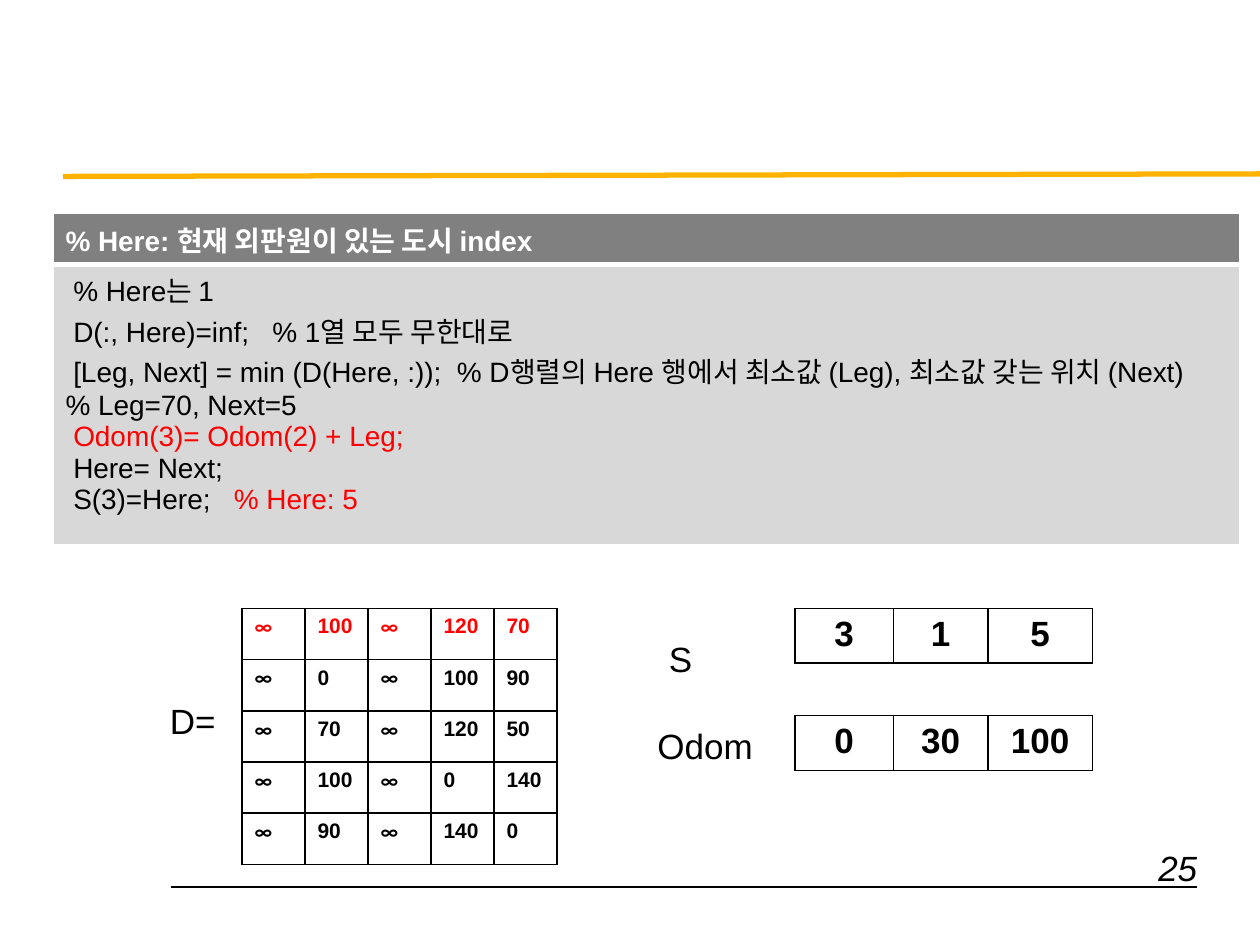
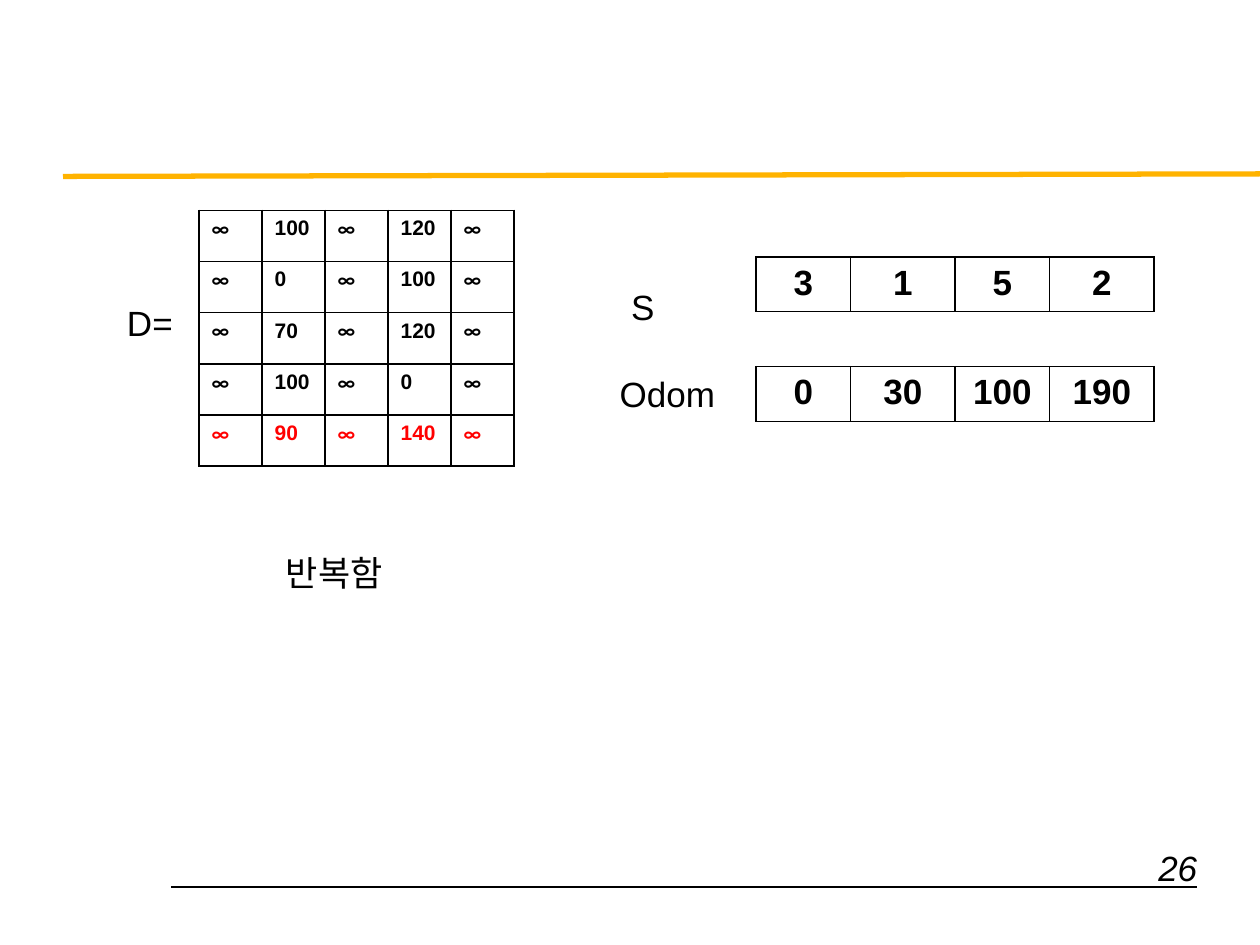
from lxml.etree import SubElement
from pptx import Presentation
from pptx.dml.color import RGBColor
from pptx.enum.shapes import MSO_CONNECTOR
from pptx.enum.text import MSO_ANCHOR, PP_ALIGN
from pptx.oxml.ns import qn
from pptx.util import Inches, Pt

BLACK = RGBColor(0, 0, 0)
WHITE = RGBColor(255, 255, 255)
RED = RGBColor(255, 0, 0)
AMBER = RGBColor(0xFF, 0xB3, 0)
GRAY = RGBColor(0x80, 0x80, 0x80)
PALE = RGBColor(0xD8, 0xD8, 0xD8)
FONT = "Arial"
MATH = "Calibri"
INF = "∞"

CODE = [
    [(" % Here는 1", BLACK)],
    [(" D(:, Here)=inf;   % 1열 모두 무한대로", BLACK)],
    [(" [Leg, Next] = min (D(Here, :));  % D행렬의 Here 행에서 최소값 (Leg), "
      "최소값 갖는 위치 (Next)", BLACK)],
    [("% Leg=70, Next=5", BLACK)],
    [(" Odom(3)= Odom(2) + Leg;", RED)],
    [(" Here= Next;", BLACK)],
    [(" S(3)=Here;   ", BLACK), ("% Here: 5", RED)],
]
FIRST = [
    [INF, 100, INF, 120, 70],
    [INF, 0, INF, 100, 90],
    [INF, 70, INF, 120, 50],
    [INF, 100, INF, 0, 140],
    [INF, 90, INF, 140, 0],
]
SECOND = [row[:4] + [INF] for row in FIRST]


def style(para, size, color=BLACK, bold=False, face=FONT):
    """Set the font of a whole paragraph."""
    font = para.font
    font.size, font.bold, font.name = Pt(size), bold, face
    font.color.rgb = color


def rule(slide, start, end, color, width):
    """Draw a straight line without a shadow."""
    line = slide.shapes.add_connector(
        MSO_CONNECTOR.STRAIGHT, *map(Inches, start + end))
    line.line.color.rgb = color
    line.line.width = Pt(width)
    SubElement(line._element.spPr, qn("a:effectLst"))


def label(slide, left, top, width, text):
    """Add a one-line label and return its text frame."""
    box = slide.shapes.add_textbox(
        Inches(left), Inches(top), Inches(width), Inches(0.44))
    frame = box.text_frame
    frame.text = text
    style(frame.paragraphs[0], 20)
    return frame


def edge(cell, color, base=1):
    """Give a cell four borders, with its own width for the lower one."""
    props = cell._tc.get_or_add_tcPr()
    sides = [("lnL", 1), ("lnR", 1), ("lnT", 1), ("lnB", base)]
    for spot, (side, width) in enumerate(sides):
        line = props.makeelement(qn(f"a:{side}"), {"w": str(Pt(width))})
        fill = SubElement(line, qn("a:solidFill"))
        SubElement(fill, qn("a:srgbClr"), val=str(color))
        props.insert(spot, line)


def table(slide, left, top, cols, rows):
    """Add an unbanded table with the given column and row sizes."""
    grid = slide.shapes.add_table(
        len(rows), len(cols), Inches(left), Inches(top),
        Inches(sum(cols)), Inches(sum(rows))).table
    grid.first_row = grid.horz_banding = False
    for col, width in zip(grid.columns, cols):
        col.width = Inches(width)
    for row, height in zip(grid.rows, rows):
        row.height = Inches(height)
    return grid


def matrix(slide, left, top, data, hot):
    """Show the distance matrix with one red row and its label."""
    label(slide, left - 0.67, top + 0.67, 0.57, "D=")
    grid = table(slide, left, top, [0.5] * 5, [0.406] * 5)
    for r, row in enumerate(data):
        for c, value in enumerate(row):
            cell = grid.cell(r, c)
            cell.text = str(value)
            cell.fill.background()
            style(cell.text_frame.paragraphs[0], 12,
                  RED if r == hot else BLACK, True,
                  MATH if value == INF else FONT)
            edge(cell, BLACK)


def strip(slide, left, top, cols, data):
    """Show one row of centred values."""
    grid = table(slide, left, top, cols, [0.41])
    for c, value in enumerate(data):
        cell = grid.cell(0, c)
        cell.text = str(value)
        cell.fill.solid()
        cell.fill.fore_color.rgb = WHITE
        para = cell.text_frame.paragraphs[0]
        para.alignment = PP_ALIGN.CENTER
        style(para, 20, bold=True)
        edge(cell, BLACK)


def route(slide, left, top, shift, gap, cols, tour, odom):
    """Show the visited cities above the running distances."""
    label(slide, left - shift, top + 0.18, 0.39, "S")
    label(slide, left - shift - 0.09, top + 0.87, 0.96, "Odom")
    strip(slide, left, top, cols, tour)
    strip(slide, left, top + gap, cols, odom)


def code(slide, left, top, width):
    """Show the code listing under its heading."""
    grid = table(slide, left, top, [width], [0.41, 2.22])
    head, body = grid.cell(0, 0), grid.cell(1, 0)
    for cell, fill, base in [(head, GRAY, 3), (body, PALE, 1)]:
        cell.fill.solid()
        cell.fill.fore_color.rgb = fill
        edge(cell, WHITE, base)
    head.text = "% Here: 현재 외판원이 있는 도시 index"
    style(head.text_frame.paragraphs[0], 16, WHITE, True)
    body.margin_top, body.margin_bottom = Inches(0.04), 0
    frame = body.text_frame
    for n, parts in enumerate(CODE):
        para = frame.add_paragraph() if n else frame.paragraphs[0]
        style(para, 16, parts[0][1])
        for text, color in parts:
            run = para.add_run()
            run.text = text
            run.font.color.rgb = color


def page(deck, number):
    """Add a slide with the shared rules and page number."""
    slide = deck.slides.add_slide(deck.slide_layouts[6])
    rule(slide, (1.36, 7.04), (9.5, 7.04), BLACK, 0.75)
    rule(slide, (0.5, 1.4), (10, 1.38), AMBER, 3)
    frame = label(slide, 7.42, 6.61, 2.18, str(number))
    frame.word_wrap = True
    frame.vertical_anchor = MSO_ANCHOR.BOTTOM
    frame.margin_bottom = 0
    para = frame.paragraphs[0]
    para.alignment = PP_ALIGN.RIGHT
    para.font.italic = True
    return slide


def main():
    """Build both slides and save the deck."""
    deck = Presentation()
    deck.slide_width, deck.slide_height = Inches(10), Inches(7.5)

    slide = page(deck, 25)
    matrix(slide, 1.92, 4.83, FIRST, 0)
    code(slide, 0.42, 1.69, 9.42)
    route(slide, 6.31, 4.83, 1.1, 0.85, [0.78, 0.75, 0.83],
          [3, 1, 5], [0, 30, 100])

    slide = page(deck, 26)
    matrix(slide, 1.58, 1.67, SECOND, 4)
    route(slide, 6, 2.04, 1.09, 0.87, [0.75, 0.83] * 2,
          [3, 1, 5, 2], [0, 30, 100, 190])
    label(slide, 2.17, 4.33, 1.12, "반복함")

    deck.save("out.pptx")


if __name__ == "__main__":
    main()
